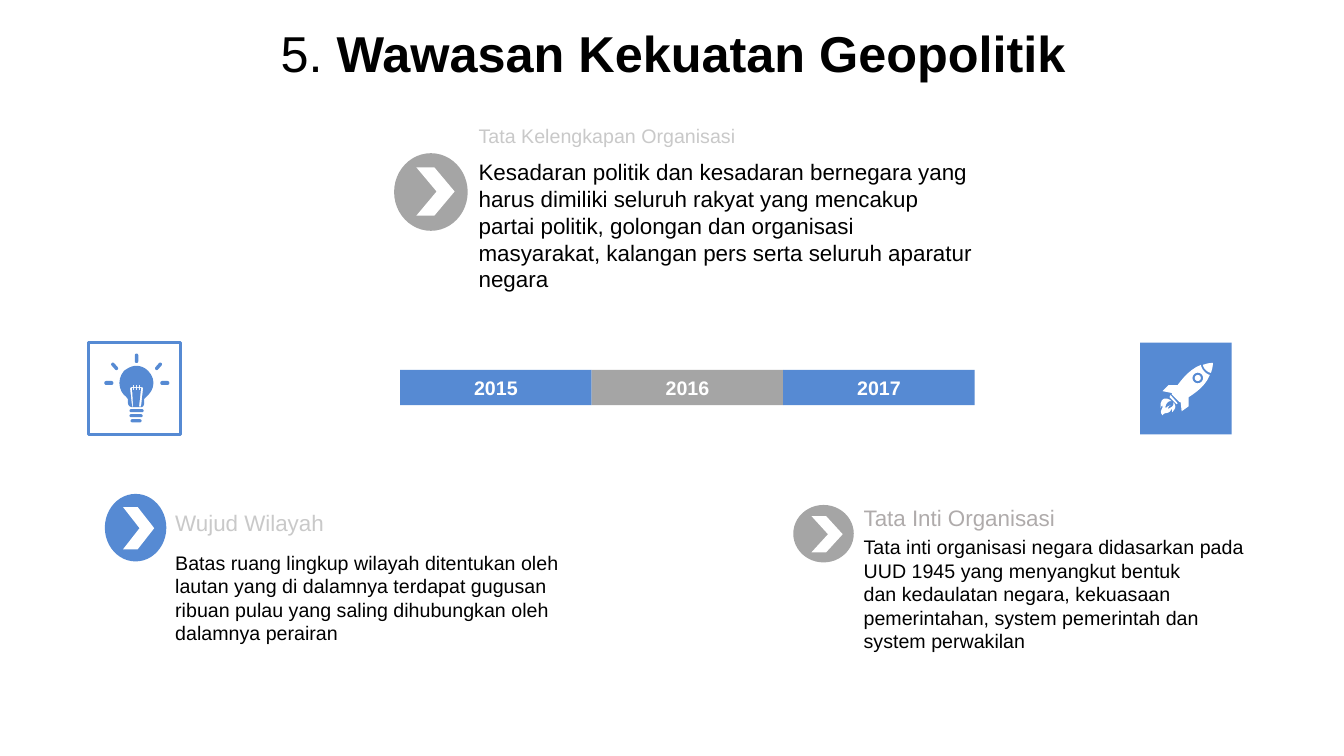
"""Build the geopolitics slide: a year bar, two icons and three items."""
import math

from pptx import Presentation
from pptx import util as u
from pptx.dml.color import RGBColor
from pptx.enum import shapes, text

HUE = {"blue": "568AD3", "gray": "A5A5A5", "pale": "C9C9C9",
       "dim": "AFABAB", "ink": "000000", "white": "FFFFFF"}
COLS, ROWS = 40, 22.5
KIND = shapes.MSO_SHAPE
ALIGN = text.PP_ALIGN

ITEMS = [
    dict(hue="blue", disc=(3.12, 14.7, 1.83, 2.01), mark=(3.66, 15.09, 0.93, 1.26),
         head="Wujud Wilayah", spot=(4.92, 15, 12.66, 1.11), big=16, tone="pale",
         body=["Batas ruang lingkup wilayah ditentukan oleh lautan yang di dalamnya "
               "terdapat gugusan ribuan pulau yang saling dihubungkan oleh dalamnya perairan"],
         area=(4.92, 16.23, 12.66, 3.12), size=14),
    dict(hue="gray", disc=(11.73, 4.56, 2.19, 2.31), mark=(12.39, 4.98, 1.14, 1.44),
         head="Tata Kelengkapan Organisasi", spot=(13.95, 3.54, 10.05, 1.02), big=14, tone="pale",
         body=["Kesadaran politik dan kesadaran bernegara yang harus dimiliki seluruh rakyat "
               "yang mencakup partai politik, golongan dan organisasi masyarakat, kalangan pers "
               "serta seluruh aparatur negara"],
         area=(13.95, 4.5, 15.33, 4.41), size=16),
    dict(hue="gray", disc=(23.61, 15.03, 1.8, 1.71), mark=(24.15, 15.36, 0.93, 1.08),
         head="Tata Inti Organisasi", spot=(25.41, 14.64, 12.45, 1.53), big=16, tone="dim",
         body=["Tata inti organisasi negara didasarkan pada UUD 1945 yang menyangkut bentuk",
               "dan kedaulatan negara, kekuasaan pemerintahan, system pemerintah dan system perwakilan"],
         area=(25.41, 15.75, 12.45, 3.84), size=14),
]

FLAME = [(62, 98), (60, 97, 55, 100, 56, 106), (57, 103, 59, 103, 61, 102),
         (60, 103, 58, 103, 59, 106), (61, 103, 64, 105, 64, 99), (68, 105, 64, 106, 63, 109),
         (62, 108, 63, 105, 62, 106), (59, 112, 55, 108, 53, 112), (49, 108, 54, 105, 53, 103),
         (53, 102, 52, 102, 51, 105), (50, 93, 58, 94, 62, 98)]
HULL = [(91, 62), (92, 67, 96, 71, 100, 72), (96, 82, 87, 89, 79, 94), (79, 103), (72, 108),
        (71, 99), (70, 99), (62, 91), (63, 90), (53, 88), (59, 82), (68, 82),
        (74, 74, 81, 66, 91, 62)]
NOSE = [(103, 60), (103, 64, 102, 67, 101, 70), (97, 69, 94, 66, 93, 62), (96, 61, 99, 60, 103, 60)]
FIN = [(61, 92), (68, 100), (67, 101), (60, 94)]
GLASS = [(35, 63), (40, 63, 44, 65, 47, 68), (54, 75, 54, 85, 47, 92), (43, 96), (43, 100),
         (43, 102, 42, 104, 40, 104), (31, 104), (29, 104, 27, 102, 27, 100), (27, 96),
         (26, 95, 25, 93, 23, 92), (17, 85, 17, 75, 23, 68), (27, 65, 31, 63, 35, 63)]
WIRE = [(32, 82), (32, 84), (30, 84), (29, 85), (31, 103), (32, 104), (32, 103), (31, 85),
        (32, 85), (32, 87), (33, 87), (33, 85), (35, 85), (35, 87), (36, 87), (36, 85),
        (38, 85), (38, 87), (39, 87), (39, 85), (40, 85), (38, 103), (39, 104), (40, 103),
        (42, 85), (41, 84), (39, 84), (39, 82), (38, 82), (38, 84), (36, 84), (36, 82),
        (35, 82), (35, 84), (33, 84), (33, 82)]
PILLS = [(31, 117.5, 39, 117.5, 1.5), (30, 112.5, 40, 112.5, 1.5), (30, 107.5, 41, 107.5, 1.5),
         (5.5, 80, 10.5, 80, 2), (61, 80, 66, 80, 2), (59, 61.5, 55.5, 65.5, 1.7),
         (12, 61.5, 15.5, 65.5, 1.7), (35.5, 52.5, 35.5, 58.5, 1.7)]


def trace(steps, n=6):
    pts = [steps[0]]
    for step in steps[1:]:
        if len(step) == 2:
            pts.append(step)
            continue
        knots = [pts[-1], step[:2], step[2:4], step[4:]]
        for i in range(1, n + 1):
            t = i / n
            mix = [(1 - t) ** 3, 3 * t * (1 - t) ** 2, 3 * t * t * (1 - t), t ** 3]
            pts.append(tuple(sum(m * k[a] for m, k in zip(mix, knots)) for a in (0, 1)))
    return pts


def pill(x1, y1, x2, y2, r, n=8):
    turn = math.atan2(y2 - y1, x2 - x1) - math.pi / 2
    pts = []
    for x, y, add in ((x2, y2, 0), (x1, y1, math.pi)):
        for i in range(n + 1):
            ang = turn + add + math.pi * i / n
            pts.append((x + r * math.cos(ang), y + r * math.sin(ang)))
    return pts


def write(par, words, size=14, hue="ink", bold=False, align=ALIGN.LEFT):
    par.alignment = align
    run = par.add_run()
    run.text = words
    font = run.font
    font.name, font.size, font.bold = "Arial", u.Pt(size), bold
    font.color.rgb = RGBColor.from_string(HUE[hue])


class Deck:
    def __init__(self):
        self.prs = Presentation()
        self.prs.slide_width, self.prs.slide_height = u.Inches(13.33), u.Inches(7.5)
        self.slide = self.prs.slides.add_slide(self.prs.slide_layouts[5])
        self.base = self.slide.shapes
        self.group()

    def group(self, on=False):
        self.to = self.base.add_group_shape().shapes if on else self.base

    def box(self, x, y, w, h):
        wide, high = self.prs.slide_width / COLS, self.prs.slide_height / ROWS
        return [round(v) for v in (x * wide, y * high, w * wide, h * high)]

    def title(self, spot, parts):
        head = self.base.title
        head.left, head.top, head.width, head.height = self.box(*spot)
        frame = head.text_frame
        frame.auto_size, frame.word_wrap = text.MSO_AUTO_SIZE.NONE, True
        frame.vertical_anchor = text.MSO_ANCHOR.MIDDLE
        frame.margin_top, frame.margin_bottom = u.Inches(0.1), u.Inches(0.05)
        par = frame.paragraphs[0]
        par.line_spacing = 0.9
        for words, bold in parts:
            write(par, words, size=36, bold=bold, align=ALIGN.CENTER)

    def paint(self, shape, fill=None, line=None):
        shape.shadow.inherit = False
        if fill:
            shape.fill.solid()
            shape.fill.fore_color.rgb = RGBColor.from_string(HUE[fill])
        else:
            shape.fill.background()
        if line:
            shape.line.color.rgb = RGBColor.from_string(HUE[line])
            shape.line.width = u.Pt(2)
        else:
            shape.line.fill.background()
        return shape

    def shape(self, kind, spot, fill=None, line=None):
        return self.paint(self.to.add_shape(kind, *self.box(*spot)), fill, line)

    def label(self, spot, lines, **fmt):
        frame = self.to.add_textbox(*self.box(*spot)).text_frame
        frame.word_wrap = True
        frame.auto_size = text.MSO_AUTO_SIZE.SHAPE_TO_FIT_TEXT
        frame.vertical_anchor = text.MSO_ANCHOR.MIDDLE
        for i, words in enumerate(lines):
            write(frame.add_paragraph() if i else frame.paragraphs[0], words, **fmt)

    def icon(self, x, y, loops, fill):
        loops = [[(x * 10000 + a * 100, y * 10000 + b * 100) for a, b in loop] for loop in loops]
        pen = self.to.build_freeform(*loops[0][0], scale=u.Inches(1) / 10000)
        for i, loop in enumerate(loops):
            if i:
                pen.move_to(*loop[0])
            pen.add_line_segments(loop[1:], close=True)
        self.paint(pen.convert_to_shape(), fill)

    def years(self, x, y, w, h):
        self.group(True)
        for i, (year, hue) in enumerate((("2015", "blue"), ("2016", "gray"), ("2017", "blue"))):
            frame = self.shape(KIND.RECTANGLE, (x + i * w, y, w, h), hue).text_frame
            frame.vertical_anchor = text.MSO_ANCHOR.MIDDLE
            write(frame.paragraphs[0], year, hue="white", bold=True, align=ALIGN.CENTER)
        self.group()

    def item(self, hue, disc, mark, head, spot, big, tone, body, area, size):
        self.group(True)
        self.shape(KIND.OVAL, disc, hue)
        self.shape(KIND.CHEVRON, mark, "white").adjustments[0] = 0.53
        self.label(spot, [head], size=big, hue=tone)
        self.label(area, body, size=size)
        self.group()


def main():
    deck = Deck()
    deck.title((1.05, 0.42, 37.98, 2.37), [("5. ", False), ("Wawasan Kekuatan Geopolitik", True)])
    deck.years(11.91, 11.01, 5.7, 1.05)
    deck.shape(KIND.RECTANGLE, (33.93, 10.2, 2.73, 2.73), "blue")
    rings = [pill(88, 75, 88, 75, r) for r in (5.3, 3)]
    deck.icon(11, 3, [trace(loop) for loop in (FLAME, FIN, HULL, NOSE)] + rings, "white")
    deck.shape(KIND.RECTANGLE, (2.64, 10.2, 2.73, 2.73), line="blue")
    deck.icon(1, 3, [trace(GLASS), WIRE] + [pill(*p) for p in PILLS], "blue")
    for item in ITEMS:
        deck.item(**item)
    deck.prs.save("out.pptx")


if __name__ == "__main__":
    main()
